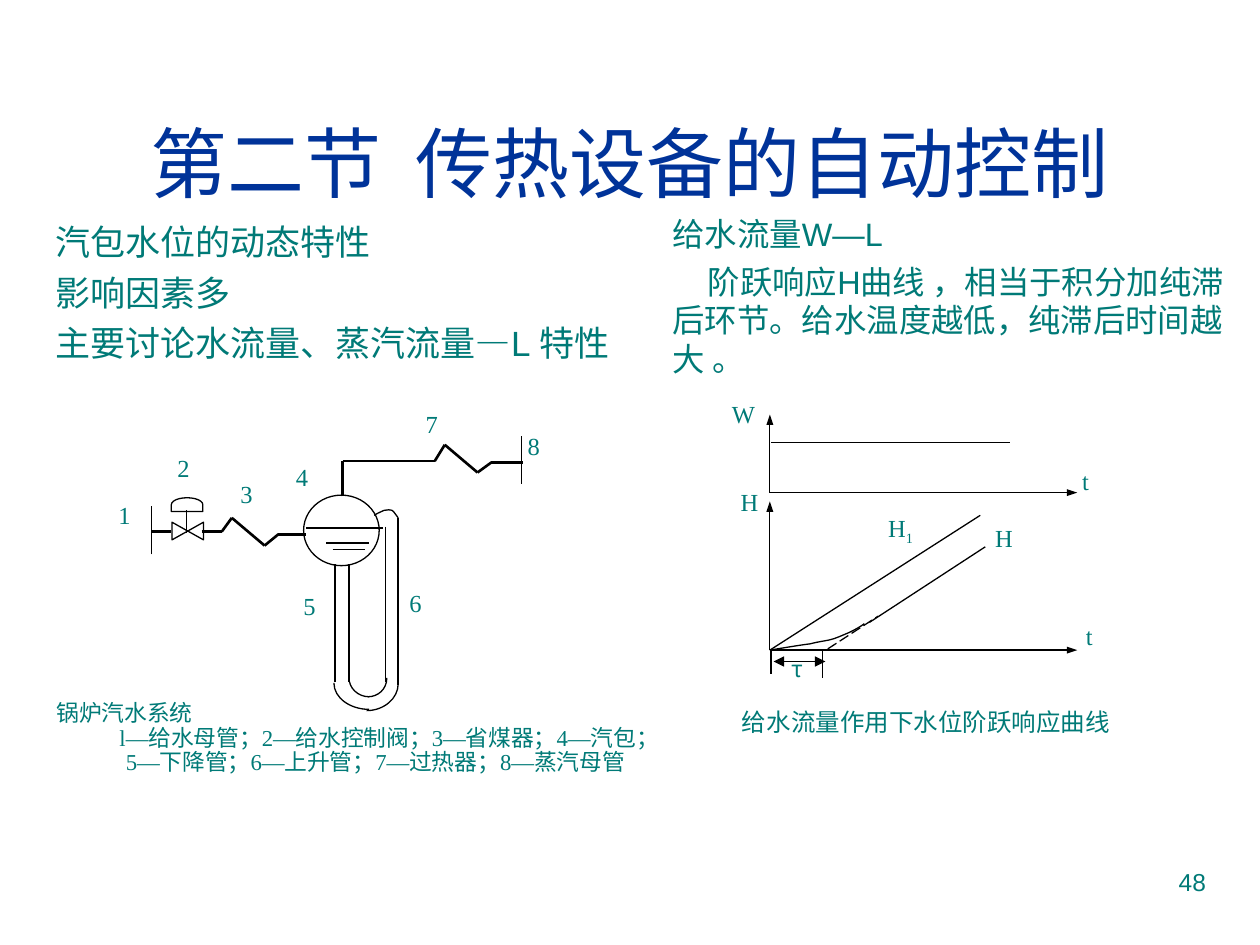
from pptx import Presentation
from pptx.dml.color import RGBColor
from pptx.enum.dml import MSO_LINE
from pptx.enum.shapes import MSO_CONNECTOR, MSO_SHAPE
from pptx.enum.text import MSO_ANCHOR, PP_ALIGN
from pptx.oxml.ns import qn
from pptx.util import Pt
from lxml.etree import SubElement

PX = 9144  # EMU per px, 100 px to the inch
TEAL = RGBColor(0x00, 0x7A, 0x77)
NAVY = RGBColor(0x00, 0x33, 0x99)
BLACK = RGBColor(0, 0, 0)
WHITE = RGBColor(255, 255, 255)
SERIF, SANS, CJK = "Times New Roman", "Arial", "Noto Sans CJK SC"
THIN, THICK = 0.75, 1.5

# Text: each paragraph is (text, left margin, first-line indent)
TITLE = [("第二节  传热设备的自动控制", 0, 0)]
FACTORS = [("汽包水位的动态特性", 0, 0), ("影响因素多", 0, 0),
           ("主要讨论水流量、蒸汽流量—L 特性", 0, 0)]
FEEDWATER = [("给水流量W—L", 0, 0),
             ("阶跃响应H曲线\u00a0，相当于积分加纯滞后环节。"
              "给水温度越低，纯滞后时间越大 。", 0, 28)]
LEGEND = [("锅炉汽水系统", 0, 0),
          ("l—给水母管；2—给水控制阀；3—省煤器；4—汽包；", 50, 0),
          ("5—下降管；6—上升管；7—过热器；8—蒸汽母管", 55, 0)]

# Labels: text, left, top, width; "_" starts a subscript
LABELS = [
    ("W", 571, 312, 55), ("t", 849, 365, 39), ("H", 578, 382, 38),
    ("H_1", 695, 402, 47), ("H", 780, 410, 46), ("t", 852, 488, 39),
    ("给水流量作用下水位阶跃响应曲线", 579, 556, 315),
    ("1", 84, 392, 52), ("2", 131, 355, 52), ("3", 181, 375, 52),
    ("4", 225, 362, 58), ("5", 231, 464, 48), ("6", 315, 462, 57),
    ("7", 328, 320, 49), ("8", 409, 337, 54),
]

# Response charts
AXES = [((611, 391), (855, 391)), ((611, 391), (611, 329)),
        ((611, 516), (855, 516)), ((611, 516), (611, 398))]
RESPONSE_LINES = [
    [(612, 351), (802, 351)],  # step in W
    [(611, 516), (778, 409)],  # H1
    [(690, 494), (782, 434)],  # H
    [(612, 517), (612, 535)], [(653, 517), (653, 538)],  # delay limits
]
DELAY_TANGENT = ((657, 515), (697, 489))
DELAY_SPAN = ((614, 525), (655, 525))

# Boiler: pipes are polylines
THICK_PIPES = [
    [(120, 422), (136, 422)],
    [(160, 422), (176, 422), (184, 411), (210, 433), (221, 424), (243, 424)],
    [(272, 394), (272, 366), (345, 366), (353, 353), (379, 375), (390, 367),
     (415, 367)],
]
THIN_PIPES = [
    [(243, 419), (304, 419)], [(259, 431), (293, 431)], [(264, 436), (290, 436)],
    [(148, 423), (148, 405)],  # valve stem
    [(266, 448), (266, 541)], [(277, 448), (277, 541)],
    [(306, 418), (306, 541)], [(316, 411), (316, 544)],
    [(120, 440), (120, 402)], [(414, 384), (414, 346)],  # mains
]

# Curves: a start point, then three points per Bezier piece
CURVES = [
    [(686, 495), (682, 498), (678, 500), (674, 502), (669, 504), (663, 507),
     (658, 508), (653, 509), (651, 509), (643, 511), (635, 512), (623, 514),
     (611, 516)],
    [(293, 553), (284, 553), (277, 546), (277, 538)],
    [(292, 553), (300, 553), (307, 547), (307, 538)],
    [(293, 563), (278, 563), (265, 554), (265, 542)],
    [(291, 564), (305, 564), (316, 554), (316, 543)],
    [(316, 411), (314, 409), (313, 406), (311, 405), (309, 404), (308, 405),
     (305, 405), (303, 406), (300, 407), (297, 409)],
]

presentation = Presentation()
presentation.slide_width, presentation.slide_height = 1000 * PX, 750 * PX
slide = presentation.slides.add_slide(presentation.slide_layouts[6])
shapes = slide.shapes


def add_text(paragraphs, left, top, width, height, size=14, font=SERIF,
             color=TEAL, align=PP_ALIGN.LEFT, anchor=MSO_ANCHOR.TOP,
             before=0, spacing=None):
    box = shapes.add_textbox(left * PX, top * PX, width * PX, height * PX)
    frame = box.text_frame
    frame.word_wrap = True
    frame.vertical_anchor = anchor
    for number, (text, margin, indent) in enumerate(paragraphs):
        paragraph = frame.paragraphs[0] if number == 0 else frame.add_paragraph()
        paragraph.alignment = align
        if number:
            paragraph.space_before = Pt(before)
        if spacing:
            paragraph.line_spacing = spacing
        properties = paragraph._p.get_or_add_pPr()
        properties.set("marL", str(margin * PX))
        properties.set("indent", str(indent * PX))
        for part, piece in enumerate(text.split("_")):
            run = paragraph.add_run()
            run.text = piece
            run.font.size = Pt(size)
            run.font.name = font
            run.font.color.rgb = color
            run_properties = run._r.get_or_add_rPr()
            SubElement(run_properties, qn("a:ea")).set("typeface", CJK)
            if part:
                run_properties.set("baseline", "-25000")


def add_line(start, end, weight=THIN, arrows=(), arrow_width="med", dash=None):
    line = shapes.add_connector(MSO_CONNECTOR.STRAIGHT,
                                *(value * PX for value in start + end))
    line.line.color.rgb = BLACK
    line.line.width = Pt(weight)
    if dash:
        line.line.dash_style = dash
    for arrow in arrows:
        head = SubElement(line.line._get_or_add_ln(), qn(arrow))
        head.set("type", "triangle")
        head.set("w", arrow_width)
    SubElement(line._element.spPr, qn("a:effectLst"))


def add_polyline(points, weight=THIN):
    for start, end in zip(points, points[1:]):
        add_line(start, end, weight)


def outline(shape):
    shape.shadow.inherit = False
    shape.line.color.rgb = BLACK
    shape.line.width = Pt(THIN)


def add_symbol(kind, left, top, width, height, rotation=0):
    shape = shapes.add_shape(kind, left * PX, top * PX, width * PX, height * PX)
    shape.rotation = rotation
    shape.fill.solid()
    shape.fill.fore_color.rgb = WHITE
    outline(shape)


def add_curve(points):
    builder = shapes.build_freeform(*points[0], scale=PX)
    builder.add_line_segments(points[1:], close=False)
    curve = builder.convert_to_shape()
    # Every three straight segments become one Bezier piece
    outline_path = next(curve._element.iter(qn("a:path")))
    segments = outline_path.findall(qn("a:lnTo"))
    for first in range(0, len(segments), 3):
        bezier = SubElement(outline_path, qn("a:cubicBezTo"))
        for segment in segments[first:first + 3]:
            bezier.append(segment[0])
            outline_path.remove(segment)
    curve.fill.background()
    outline(curve)


# Title, body texts and page number
add_text([("48", 0, 0)], 717, 683, 250, 52, font=SANS, align=PP_ALIGN.RIGHT)
add_text(TITLE, 33, 66, 934, 125, size=44, font=SANS, color=NAVY,
         align=PP_ALIGN.CENTER, anchor=MSO_ANCHOR.MIDDLE)
add_text(FACTORS, 34, 170, 483, 149, size=20, font=SANS, before=5)
add_text(FEEDWATER, 524, 165, 470, 150, size=18.5, font=SANS, before=5)

# Response charts
for start, end in AXES:
    add_line(start, end, arrows=("a:tailEnd",), arrow_width="sm")
for points in RESPONSE_LINES:
    add_polyline(points)
add_line(*DELAY_TANGENT, dash=MSO_LINE.LONG_DASH)
add_line(*DELAY_SPAN, arrows=("a:headEnd", "a:tailEnd"))
add_text([("τ", 0, 0)], 618, 517, 45, 33, size=13, font=CJK, spacing=0.9)

# Boiler: drum, valve and its actuator, then pipes
add_symbol(MSO_SHAPE.OVAL, 241, 393, 60, 56)
add_symbol(MSO_SHAPE.FLOWCHART_COLLATE, 142, 409, 14, 25, rotation=90)
add_symbol(MSO_SHAPE.FLOWCHART_DELAY, 143, 388, 11, 25, rotation=270)
for points in THICK_PIPES:
    add_polyline(points, THICK)
for points in THIN_PIPES:
    add_polyline(points)
for points in CURVES:
    add_curve(points)

# Labels and legend
for text, left, top, width in LABELS:
    add_text([(text, 0, 0)], left, top, width, 46, align=PP_ALIGN.JUSTIFY)
add_text(LEGEND, 35, 552, 543, 91, size=13, align=PP_ALIGN.JUSTIFY, spacing=0.9)

presentation.save("out.pptx")
